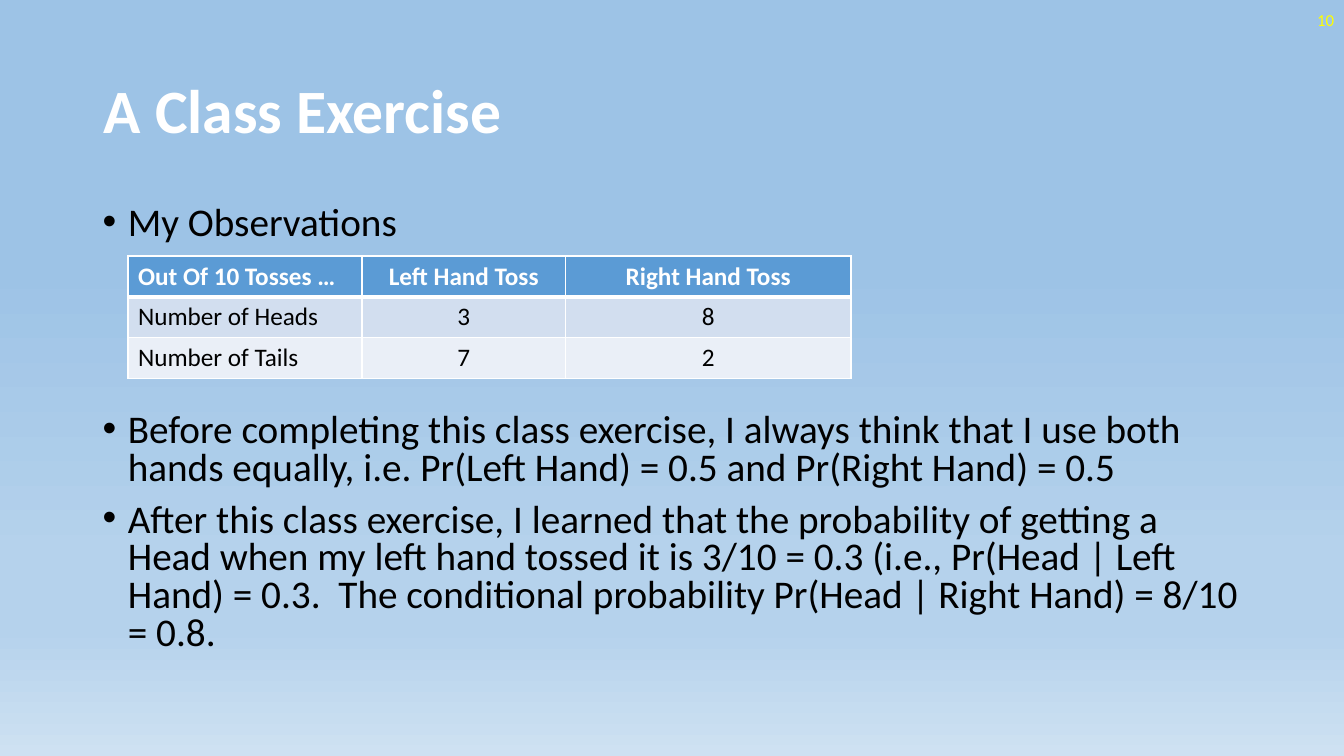
from copy import deepcopy

from lxml.etree import SubElement
from pptx import Presentation
from pptx.dml.color import RGBColor
from pptx.enum.text import MSO_ANCHOR, PP_ALIGN
from pptx.oxml import parse_xml
from pptx.oxml.ns import nsdecls, qn
from pptx.util import Inches, Pt

WHITE = RGBColor(0xFF, 0xFF, 0xFF)
BLACK = RGBColor(0, 0, 0)
YELLOW = RGBColor(0xFF, 0xFF, 0)
HEADER_BLUE = RGBColor(0x5B, 0x9B, 0xD5)
BANDS = [RGBColor(0xD2, 0xDE, 0xEF), RGBColor(0xEA, 0xEF, 0xF7)]
BACKGROUND = [
    (0.35, RGBColor(0x9D, 0xC3, 0xE6)),
    (0.74, RGBColor(0xB5, 0xD2, 0xEC)),
    (0.83, RGBColor(0xB5, 0xD2, 0xEC)),
    (1.0, RGBColor(0xCE, 0xE1, 0xF2)),
]

TITLE = "A Class Exercise"
NUMBER = "10"
BULLETS = [
    ("My Observations", 10),
    ("Before completing this class exercise, I always think that I use both hands "
     "equally, i.e. Pr(Left Hand) = 0.5 and Pr(Right Hand) = 0.5", 121),
    ("After this class exercise, I learned that the probability of getting a Head when "
     "my left hand tossed it is 3/10 = 0.3 (i.e., Pr(Head | Left Hand) = 0.3.  The "
     "conditional probability Pr(Head | Right Hand) = 8/10 = 0.8.", 10),
]
TOSSES = [
    ("Out Of 10 Tosses …", "Left Hand Toss", "Right Hand Toss"),
    ("Number of Heads", "3", "8"),
    ("Number of Tails", "7", "2"),
]
COLUMNS = [2.32, 2.02, 2.83]
ROW_HEIGHT = 0.405


def add_run(p, text, size, color, bold=False):
    """Add one formatted run to a paragraph."""
    r = p.add_run()
    r.text = text
    r.font.name = "Calibri"
    r.font.size = Pt(size)
    r.font.bold = bold
    r.font.color.rgb = color


def set_background(s):
    """Fill the slide with a vertical gradient."""
    fill = s.background.fill
    fill.gradient()
    fill.gradient_angle = 270
    stops = s.element.find(".//" + qn("a:gsLst"))
    while len(stops) < len(BACKGROUND):
        stops.append(deepcopy(stops[0]))
    for stop, (position, color) in zip(fill.gradient_stops, BACKGROUND):
        stop.position = position
        stop.color.rgb = color


def set_borders(cell, bottom):
    """Give a cell white borders, with its own bottom width."""
    tcPr = cell._tc.get_or_add_tcPr()
    widths = [("L", 1), ("R", 1), ("T", 1), ("B", bottom)]
    for i, (side, width) in enumerate(widths):
        tcPr.insert(i, parse_xml(
            f'<a:ln{side} {nsdecls("a")} w="{Pt(width)}"><a:solidFill>'
            f'<a:srgbClr val="{WHITE}"/></a:solidFill></a:ln{side}>'))


def add_text_box(s, left, top, width, height):
    """Add a wrapping text box and return its text frame."""
    tf = s.shapes.add_textbox(*map(Inches, (left, top, width, height))).text_frame
    tf.word_wrap = True
    return tf


def add_title(s):
    """Place and format the title."""
    sp = s.shapes.title
    sp.left, sp.top, sp.width, sp.height = map(Inches, (0.93, 0.4, 11.5, 1.45))
    tf = sp.text_frame
    tf.vertical_anchor = MSO_ANCHOR.MIDDLE
    p = tf.paragraphs[0]
    p.alignment = PP_ALIGN.LEFT
    p.line_spacing = 0.9
    add_run(p, TITLE, 44, WHITE, True)


def add_bullets(s):
    """Add the bulleted text, with room for the table."""
    tf = add_text_box(s, 0.92, 2, 11.5, 4.76)
    for i, (text, before) in enumerate(BULLETS):
        p = tf.add_paragraph() if i else tf.paragraphs[0]
        p.line_spacing = 0.8
        p.space_before = Pt(before)
        pPr = p._p.get_or_add_pPr()
        pPr.set("marL", str(Inches(0.25)))
        pPr.set("indent", str(Inches(-0.25)))
        SubElement(pPr, qn("a:buFont"), typeface="Arial")
        SubElement(pPr, qn("a:buChar"), char="•")
        add_run(p, text, 28, BLACK)


def add_number(s):
    """Add the slide number in the top right corner."""
    tf = add_text_box(s, 10.33, 0, 3, 0.4)
    tf.vertical_anchor = MSO_ANCHOR.MIDDLE
    p = tf.paragraphs[0]
    p.alignment = PP_ALIGN.RIGHT
    add_run(p, NUMBER, 12, YELLOW)


def add_toss_table(s):
    """Add the table of coin tosses."""
    table = s.shapes.add_table(
        len(TOSSES), len(COLUMNS), Inches(1.27), Inches(2.54),
        Inches(sum(COLUMNS)), Inches(ROW_HEIGHT * len(TOSSES))).table
    for column, width in zip(table.columns, COLUMNS):
        column.width = Inches(width)
    for i, row in enumerate(TOSSES):
        header = i == 0
        for j, text in enumerate(row):
            cell = table.cell(i, j)
            cell.fill.solid()
            cell.fill.fore_color.rgb = HEADER_BLUE if header else BANDS[i - 1]
            set_borders(cell, 3 if header else 1)
            p = cell.text_frame.paragraphs[0]
            p.alignment = PP_ALIGN.CENTER if j else PP_ALIGN.LEFT
            add_run(p, text, 18, WHITE if header else BLACK, header)


def main():
    """Build and save the slide."""
    prs = Presentation()
    prs.slide_width, prs.slide_height = Inches(13.33), Inches(7.5)
    s = prs.slides.add_slide(prs.slide_layouts[5])
    set_background(s)
    add_title(s)
    add_bullets(s)
    add_number(s)
    add_toss_table(s)
    prs.save("out.pptx")


if __name__ == "__main__":
    main()
